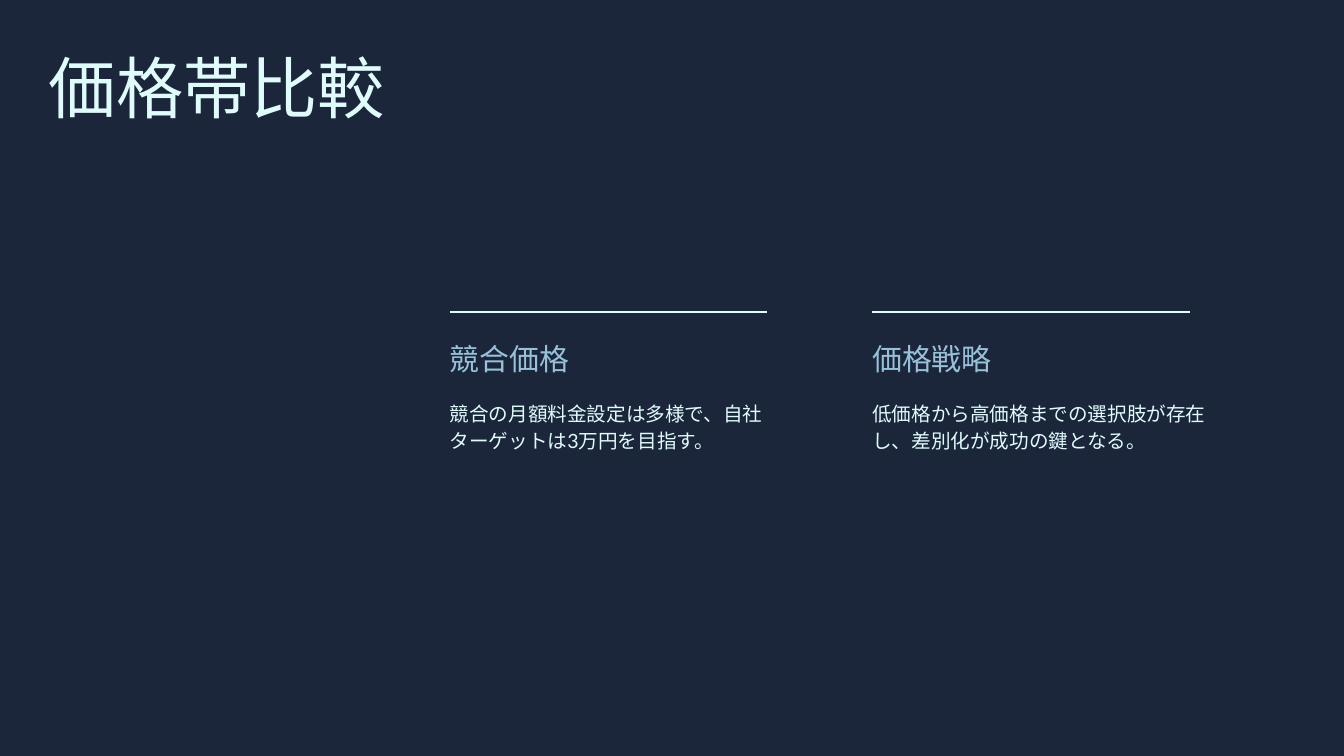
import pptx
import pptx.dml.color
import pptx.enum.shapes
import pptx.enum.text
import pptx.oxml.ns
import pptx.util
from lxml import etree

Cm = pptx.util.Cm
Pt = pptx.util.Pt

NAVY = pptx.dml.color.RGBColor(0x1B, 0x26, 0x3B)
ICE = pptx.dml.color.RGBColor(0xE0, 0xFB, 0xFC)
SKY = pptx.dml.color.RGBColor(0x98, 0xC1, 0xD9)

# Format values of each text role
TITLE = {"name": "Roboto Condensed", "size": Pt(72), "color": ICE, "leading": Pt(79.2)}
HEADING = {"name": "Roboto Condensed", "size": Pt(32), "color": SKY, "leading": Pt(33.6)}
BODY = {"name": "Lato", "size": Pt(21), "color": ICE, "leading": Pt(29.4)}

COLUMN_LEFT, COLUMN_TOP, COLUMN_PITCH = 17, 11.81, 15.97
RULE_WIDTH = 12
# Heading, body and width of the text, in cm
COLUMNS = [
    ("競合価格", "競合の月額料金設定は多様で、自社ターゲットは3万円を目指す。", 12),
    ("価格戦略", "低価格から高価格までの選択肢が存在し、差別化が成功の鍵となる。", 12.83),
]


def add_text(shapes, words, box, style):
    frame = shapes.add_textbox(*(Cm(length) for length in box)).text_frame
    frame.word_wrap = True
    frame.auto_size = pptx.enum.text.MSO_AUTO_SIZE.SHAPE_TO_FIT_TEXT
    for side in ("left", "top", "right", "bottom"):
        setattr(frame, f"margin_{side}", 0)
    paragraph = frame.paragraphs[0]
    paragraph.line_spacing = style["leading"]
    run = paragraph.add_run()
    run.text = words
    for attribute in ("name", "size"):
        setattr(run.font, attribute, style[attribute])
    run.font.color.rgb = style["color"]


def add_title(slide, box):
    add_text(slide.shapes, "価格帯比較", box, TITLE)


def add_column(slide, heading, body, box):
    left, top, width = box
    shapes = slide.shapes.add_group_shape().shapes
    add_text(shapes, body, (left, top + 3.23, width, 2), BODY)
    add_text(shapes, heading, (left, top + 1.24, width, 1.24), HEADING)

    # Rule above the heading
    rule = shapes.add_connector(
        pptx.enum.shapes.MSO_CONNECTOR.STRAIGHT,
        Cm(left), Cm(top), Cm(left + RULE_WIDTH), Cm(top))
    rule.line.color.rgb = ICE
    rule.line.width = Pt(2)
    properties = rule.element.find(pptx.oxml.ns.qn("p:spPr"))
    etree.SubElement(properties, pptx.oxml.ns.qn("a:effectLst"))


def main():
    deck = pptx.Presentation()
    deck.slide_width, deck.slide_height = Cm(50.8), Cm(28.58)
    slide = deck.slides.add_slide(deck.slide_layouts[6])
    slide.background.fill.solid()
    slide.background.fill.fore_color.rgb = NAVY

    add_title(slide, (1.85, 2, 31.12, 2.87))
    for index, (heading, body, width) in enumerate(COLUMNS):
        left = COLUMN_LEFT + index * COLUMN_PITCH
        add_column(slide, heading, body, (left, COLUMN_TOP, width))

    deck.save("out.pptx")


if __name__ == "__main__":
    main()
